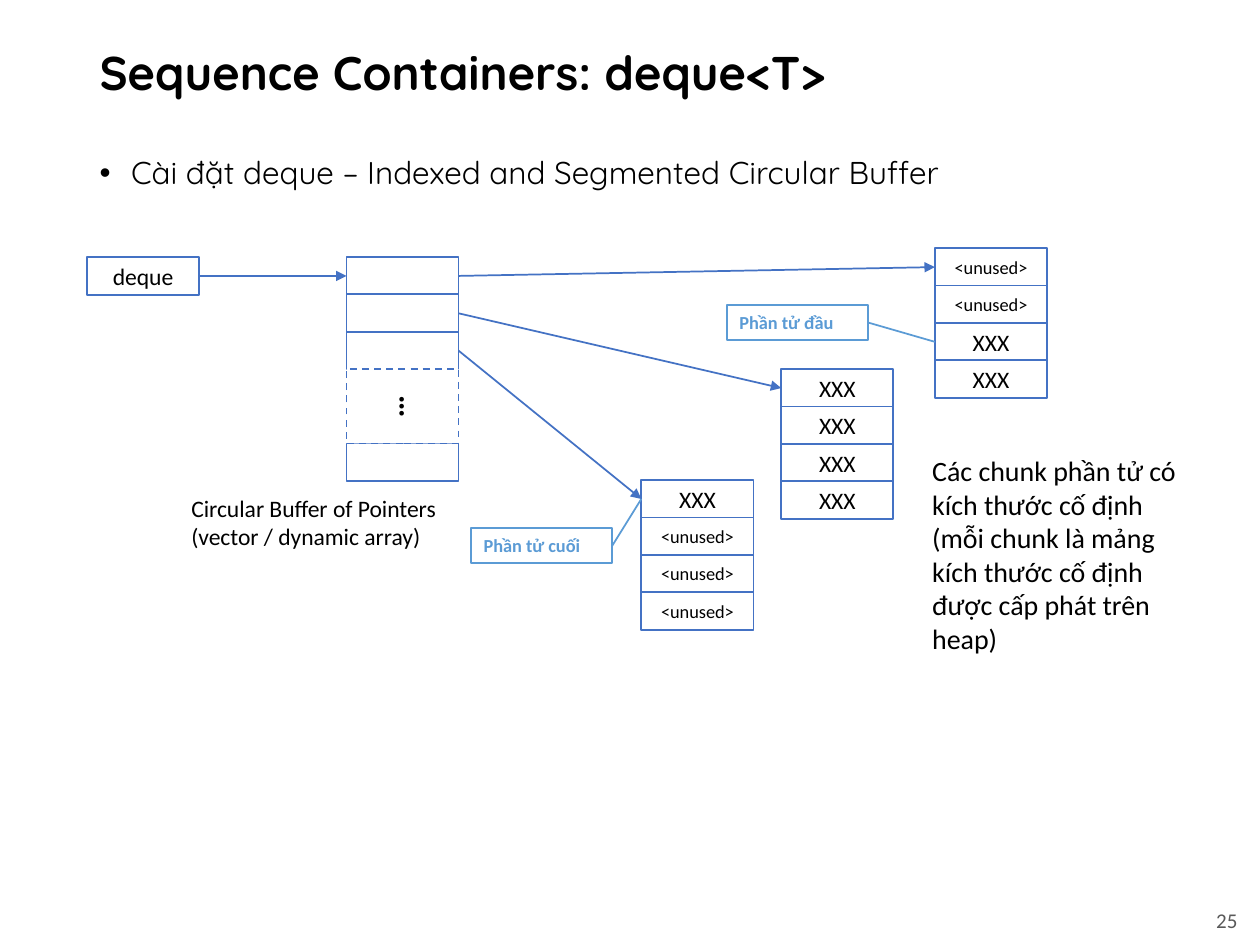
from lxml import etree
from pptx import Presentation
from pptx.dml.color import RGBColor
from pptx.enum.dml import MSO_LINE
from pptx.enum.shapes import MSO_CONNECTOR, MSO_SHAPE
from pptx.enum.text import MSO_ANCHOR, MSO_AUTO_SIZE, PP_ALIGN
from pptx.oxml.ns import qn
from pptx.util import Inches, Pt

RECTANGLE = MSO_SHAPE.RECTANGLE
STRAIGHT = MSO_CONNECTOR.STRAIGHT
DASH = MSO_LINE.DASH
TOP, MIDDLE = MSO_ANCHOR.TOP, MSO_ANCHOR.MIDDLE
LEFT, CENTER, RIGHT = PP_ALIGN.LEFT, PP_ALIGN.CENTER, PP_ALIGN.RIGHT
FIXED, GROW = MSO_AUTO_SIZE.NONE, MSO_AUTO_SIZE.SHAPE_TO_FIT_TEXT

COLORS = {"paper": "FFFFFF", "ink": "000000", "cell": "4472C4",
          "label": "5B9BD5", "number": "595959"}
CELL_WIDTH, CELL_HEIGHT = 0.89, 0.3
ROW_STEP = 0.89 / 3
LEFT_SIDE, RIGHT_SIDE = 1, 3
USED, UNUSED = "XXX", "<unused>"


def rgb(name):
    return RGBColor.from_string(COLORS[name])


def place(shape, left, top, width, height):
    values = {"left": left, "top": top, "width": width, "height": height}
    for name, value in values.items():
        setattr(shape, name, Inches(value))


def write(shape, text, size, color="ink", font="Calibri", bold=False,
          align=LEFT, anchor=TOP, fit=FIXED, spacing=1.0):
    frame = shape.text_frame
    para = frame.paragraphs[0]
    para.text = text
    frame_format = {"word_wrap": True, "auto_size": fit, "vertical_anchor": anchor}
    para_format = {"alignment": align, "line_spacing": spacing, "space_before": Pt(0)}
    font_format = {"name": font, "size": Pt(size), "bold": bold}
    targets = [(frame, frame_format), (para, para_format)]
    targets += [(span.font, font_format) for span in para.runs]
    for target, values in targets:
        for name, value in values.items():
            setattr(target, name, value)
    for span in para.runs:
        span.font.color.rgb = rgb(color)
    return para


def add_bullet(para):
    properties = para._p.get_or_add_pPr()
    properties.set("marL", str(Inches(0.25)))
    properties.set("indent", str(Inches(-0.25)))
    etree.SubElement(properties, qn("a:buFont")).set("typeface", "Arial")
    etree.SubElement(properties, qn("a:buChar")).set("char", "•")


def add_text(page, area, text, size, **formats):
    box = page.shapes.add_textbox(*map(Inches, area))
    write(box, text, size, **formats)
    return box


def add_box(page, left, top, width=CELL_WIDTH, height=CELL_HEIGHT, color="cell"):
    box = page.shapes.add_shape(RECTANGLE, *map(Inches, (left, top, width, height)))
    box.shadow.inherit = False
    box.fill.solid()
    box.fill.fore_color.rgb = rgb("paper")
    box.line.color.rgb = rgb(color)
    box.line.width = Pt(1)
    return box


def add_stack(page, left, top, texts):
    cells = []
    for row, text in enumerate(texts):
        cell = add_box(page, left, top + row * ROW_STEP)
        if text:
            size = 10.5 if text == UNUSED else 13.5
            write(cell, text, size, align=CENTER, anchor=MIDDLE)
        cells.append(cell)
    return cells


def add_label(page, left, top, text):
    label = add_box(page, left, top, 1.12, 0.28, "label")
    write(label, text, 10.5, color="label", bold=True, fit=GROW)
    return label


def connect(page, source, target, color="cell", arrow=True):
    line = page.shapes.add_connector(STRAIGHT, 0, 0, 0, 0)
    line.begin_connect(source, RIGHT_SIDE)
    line.end_connect(target, LEFT_SIDE)
    line.line.color.rgb = rgb(color)
    line.line.width = Pt(1)
    if arrow:
        outline = line.line._get_or_add_ln()
        etree.SubElement(outline, qn("a:tailEnd")).set("type", "triangle")
    etree.SubElement(line._element.spPr, qn("a:effectLst"))


def main():
    deck = Presentation()
    deck.slide_width, deck.slide_height = Inches(10), Inches(7.5)
    page = deck.slides.add_slide(deck.slide_layouts[1])

    # Title and bullet
    title, body = page.placeholders
    place(title, 0.69, 0.16, 8.62, 0.87)
    write(title, "Sequence Containers: deque<T>", 27, font="Quicksand",
          bold=True, anchor=MIDDLE, spacing=0.9)
    place(body, 0.69, 1.2, 8.62, 5.45)
    add_bullet(write(body, "Cài đặt deque – Indexed and Segmented Circular Buffer",
                     18, font="Quicksand", spacing=0.9))

    # Deque object and its buffer of pointers
    [deque_box] = add_stack(page, 0.69, 2.04, ["deque"])
    pointers = add_stack(page, 2.75, 2.04, [""] * 3)
    add_box(page, 2.75, 3.52)
    gap = add_box(page, 2.75, 2.93, height=0.59)
    gap.line.dash_style = DASH
    dots = add_text(page, (3.12, 2.99, 0.3, 0.4), "…", 18, bold=True, fit=GROW)
    dots.rotation = 90
    add_text(page, (1.42, 3.87, 2.34, 0.56),
             "Circular Buffer of Pointers\n(vector / dynamic array)", 13.5, fit=GROW)

    # Chunks of elements
    last_chunk = add_stack(page, 5.09, 3.81, [USED] + [UNUSED] * 3)
    middle_chunk = add_stack(page, 6.2, 2.93, [USED] * 4)
    first_chunk = add_stack(page, 7.42, 1.97, [UNUSED] * 2 + [USED] * 2)
    add_text(page, (7.3, 3.55, 2.29, 1.72),
             "Các chunk phần tử có kích thước cố định\n"
             "(mỗi chunk là mảng kích thước cố định được cấp phát trên heap)",
             16, fit=GROW)

    # Pointers to chunks
    for pointer, chunk in zip(pointers, (first_chunk, middle_chunk, last_chunk)):
        connect(page, pointer, chunk[0])
    connect(page, deque_box, pointers[0])

    # Labels of the first and last element
    for left, top, text, cell in (
        (5.77, 2.42, "Phần tử đầu", first_chunk[2]),
        (3.74, 4.19, "Phần tử cuối", last_chunk[0]),
    ):
        connect(page, add_label(page, left, top, text), cell, "label", arrow=False)

    # Page number
    add_text(page, (8.67, 7.1, 1.25, 0.4), "25", 12, color="number",
             align=RIGHT, anchor=MIDDLE)
    deck.save("out.pptx")


if __name__ == "__main__":
    main()
